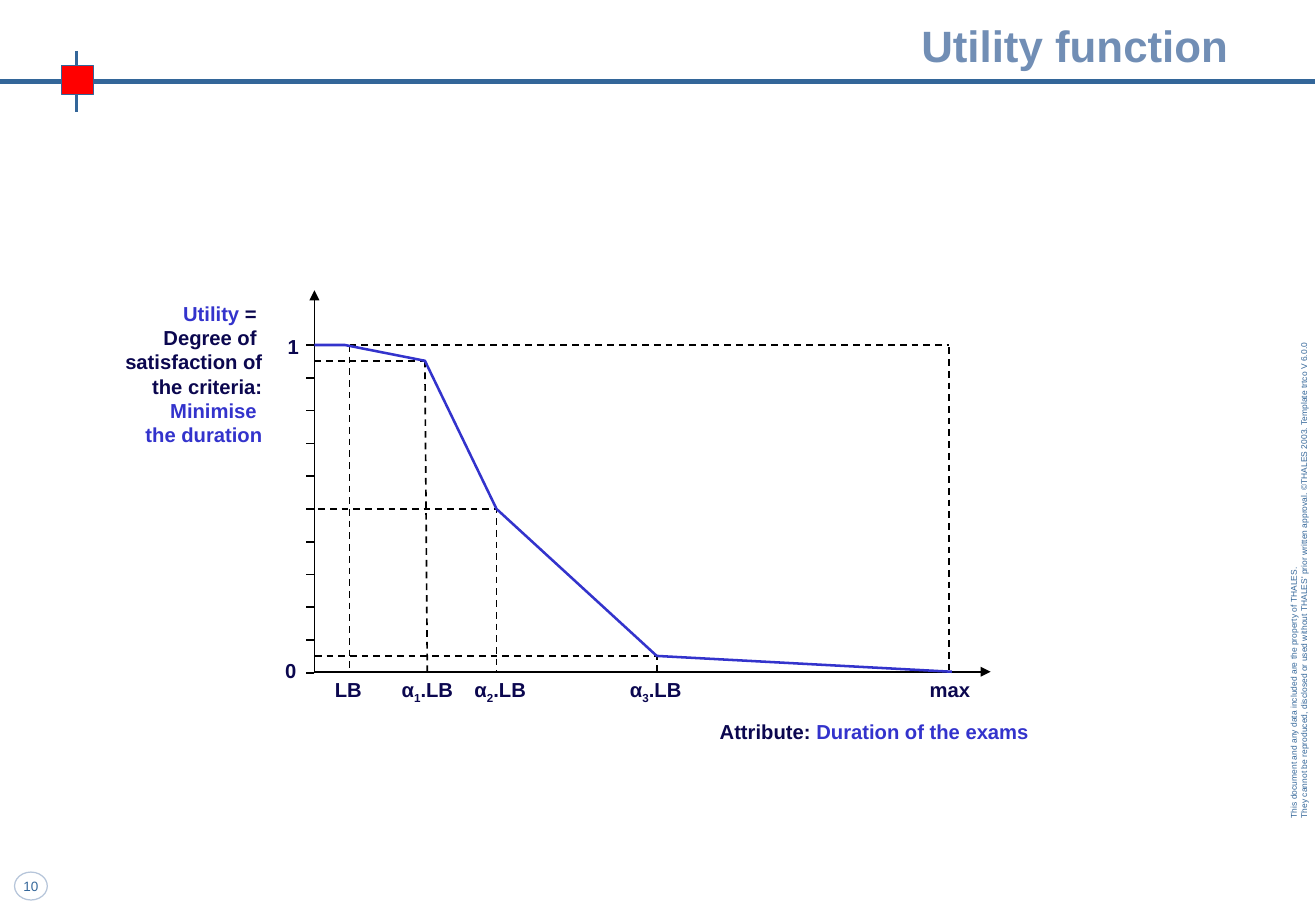
from lxml.etree import SubElement
from pptx import Presentation
from pptx.dml.color import RGBColor
from pptx.enum.dml import MSO_LINE
from pptx.enum.shapes import MSO_CONNECTOR, MSO_SHAPE
from pptx.enum.text import MSO_ANCHOR, MSO_AUTO_SIZE, PP_ALIGN
from pptx.oxml.ns import qn
from pptx.util import Inches, Pt

BLACK, NAVY, BLUE, STEEL = "000000", "0B074F", "3333CC", "336699"
AXIS_X, AXIS_Y = 2.59, 5.53
TOP_Y, MAX_X = 2.84, 7.82
TICK_STEP = 0.27
CURVE = [(AXIS_X, TOP_Y), (2.84, TOP_Y), (3.5, 2.97), (4.09, 4.19),
         (5.41, 5.4), (7.84, AXIS_Y)]


def colour(value):
    return RGBColor.from_string(value)


def style_line(line, value, width, dashed=False):
    line.color.rgb = colour(value)
    line.width = Pt(width)
    if dashed:
        line.dash_style = MSO_LINE.DASH


def add_line(page, start, end, value=BLACK, width=1, dashed=False, arrow=False):
    points = [Inches(length) for length in (*start, *end)]
    connector = page.shapes.add_connector(MSO_CONNECTOR.STRAIGHT, *points)
    style_line(connector.line, value, width, dashed)
    properties = connector._element.spPr
    if arrow:
        SubElement(properties.find(qn("a:ln")), qn("a:tailEnd"), type="triangle")
    SubElement(properties, qn("a:effectLst"))


def add_outline(page, kind, place, value, width, fill=None, dashed=False):
    shape = page.shapes.add_shape(kind, *[Inches(length) for length in place])
    shape.shadow.inherit = False
    if fill:
        shape.fill.solid()
        shape.fill.fore_color.rgb = colour(fill)
    else:
        shape.fill.background()
    style_line(shape.line, value, width, dashed)


def format_span(span, size, value, bold):
    span.font.name = "Arial"
    span.font.size = Pt(size)
    span.font.bold = bold
    span.font.color.rgb = colour(value)


def add_text(page, place, lines, size=12, bold=True, align=PP_ALIGN.LEFT, wrap=False):
    """Each line is a list of (text, colour) or (text, colour, baseline)."""
    box = page.shapes.add_textbox(*[Inches(length) for length in place])
    frame = box.text_frame
    frame.word_wrap = wrap
    if not wrap:
        frame.auto_size = MSO_AUTO_SIZE.SHAPE_TO_FIT_TEXT
    for index, parts in enumerate(lines):
        para = frame.add_paragraph() if index else frame.paragraphs[0]
        para.alignment = align
        for text, value, *baseline in parts:
            span = para.add_run()
            span.text = text
            format_span(span, size, value, bold)
            if baseline:
                span._r.get_or_add_rPr().set("baseline", str(baseline[0]))
    return box


def add_frame(page):
    # Header rule with its red square
    add_line(page, (0.63, 0.42), (0.63, 0.92), STEEL, 2.25)
    add_line(page, (0, 0.67), (10.83, 0.67), STEEL, 3)
    add_outline(page, MSO_SHAPE.RECTANGLE, (0.51, 0.54, 0.26, 0.24), STEEL, 0.75, "FF0000")

    # Copyright notice up the right edge
    notice = [
        "This document and any data included are the property of THALES.",
        "They cannot be reproduced, disclosed or used without THALES' prior written "
        "approval. ©THALES 2003. Template trtco V 6.0.0",
    ]
    box = add_text(page, (7.49, 3.49, 6.42, 0.27), [[(text, STEEL)] for text in notice],
                   size=5, bold=False, wrap=True)
    box.rotation = 270

    # Page number
    add_outline(page, MSO_SHAPE.OVAL, (0.12, 7.18, 0.27, 0.23), "B6C5DA", 0.75)
    add_text(page, (0.08, 7.18, 0.35, 0.24), [[("10", STEEL)]], size=8, bold=False,
             align=PP_ALIGN.CENTER, wrap=True)


def set_title(page, text):
    title = page.shapes.title
    title.left, title.top = Inches(0.67), Inches(0.14)
    title.width, title.height = Inches(9.55), Inches(0.46)
    frame = title.text_frame
    frame.text = text
    frame.vertical_anchor = MSO_ANCHOR.MIDDLE
    para = frame.paragraphs[0]
    para.alignment = PP_ALIGN.RIGHT
    format_span(para.runs[0], 26, "718EB5", True)


def add_curve(page):
    points = [(Inches(x), Inches(y)) for x, y in CURVE]
    builder = page.shapes.build_freeform(*points[0])
    builder.add_line_segments(points[1:], close=False)
    curve = builder.convert_to_shape()
    curve.shadow.inherit = False
    curve.fill.background()
    style_line(curve.line, BLUE, 1.5)


def add_graph(page):
    # Dashed guides
    for x, y in CURVE[3:5]:
        place = (AXIS_X, y, x - AXIS_X, AXIS_Y - y)
        add_outline(page, MSO_SHAPE.RECTANGLE, place, BLACK, 1, dashed=True)
    for start, end in [
        ((AXIS_X, TOP_Y), (MAX_X, TOP_Y)),
        ((MAX_X, 2.86), (MAX_X, AXIS_Y)),
        ((AXIS_X, 2.97), (3.52, 2.97)),
        ((3.5, 2.97), (3.52, AXIS_Y)),
        ((2.88, TOP_Y), (2.88, AXIS_Y)),
    ]:
        add_line(page, start, end, dashed=True)

    # Axes and ticks
    add_line(page, (AXIS_X, AXIS_Y), (AXIS_X, 2.39), arrow=True)
    add_line(page, (AXIS_X, AXIS_Y), (8.16, AXIS_Y), arrow=True)
    for index in range(11):
        y = TOP_Y + index * TICK_STEP
        add_line(page, (AXIS_X, y), (2.52, y))

    add_curve(page)


def add_labels(page):
    # Axis values
    for text, left, top, width in [("0", 2.25, 5.37, 0.29), ("1", 2.27, 2.7, 0.29),
                                   ("LB", 2.66, 5.53, 0.42), ("max", 7.56, 5.53, 0.54)]:
        add_text(page, (left, top, width, 0.3), [[(text, NAVY)]])
    for index, left in [("1", 3.21), ("2", 3.81), ("3", 5.09)]:
        parts = [("α", NAVY), (index, NAVY, -25000), (".LB", NAVY)]
        add_text(page, (left, 5.53, 0.63, 0.33), [parts])

    # Axis names
    add_text(page, (0.89, 2.43, 1.37, 1.5), [
        [("Utility", BLUE), (" = ", NAVY)],
        [("Degree of ", NAVY)],
        [("satisfaction of ", NAVY)],
        [("the criteria:", NAVY)],
        [("Minimise ", BLUE)],
        [("the duration", BLUE)],
    ], align=PP_ALIGN.RIGHT)
    add_text(page, (5.83, 5.87, 2.75, 0.3),
             [[("Attribute: ", NAVY), ("Duration of the exams", BLUE)]])


def main():
    deck = Presentation()
    deck.slide_width, deck.slide_height = Inches(10.84), Inches(7.5)
    page = deck.slides.add_slide(deck.slide_layouts[5])
    add_frame(page)
    set_title(page, "Utility function")
    add_graph(page)
    add_labels(page)
    deck.save("out.pptx")


if __name__ == "__main__":
    main()
